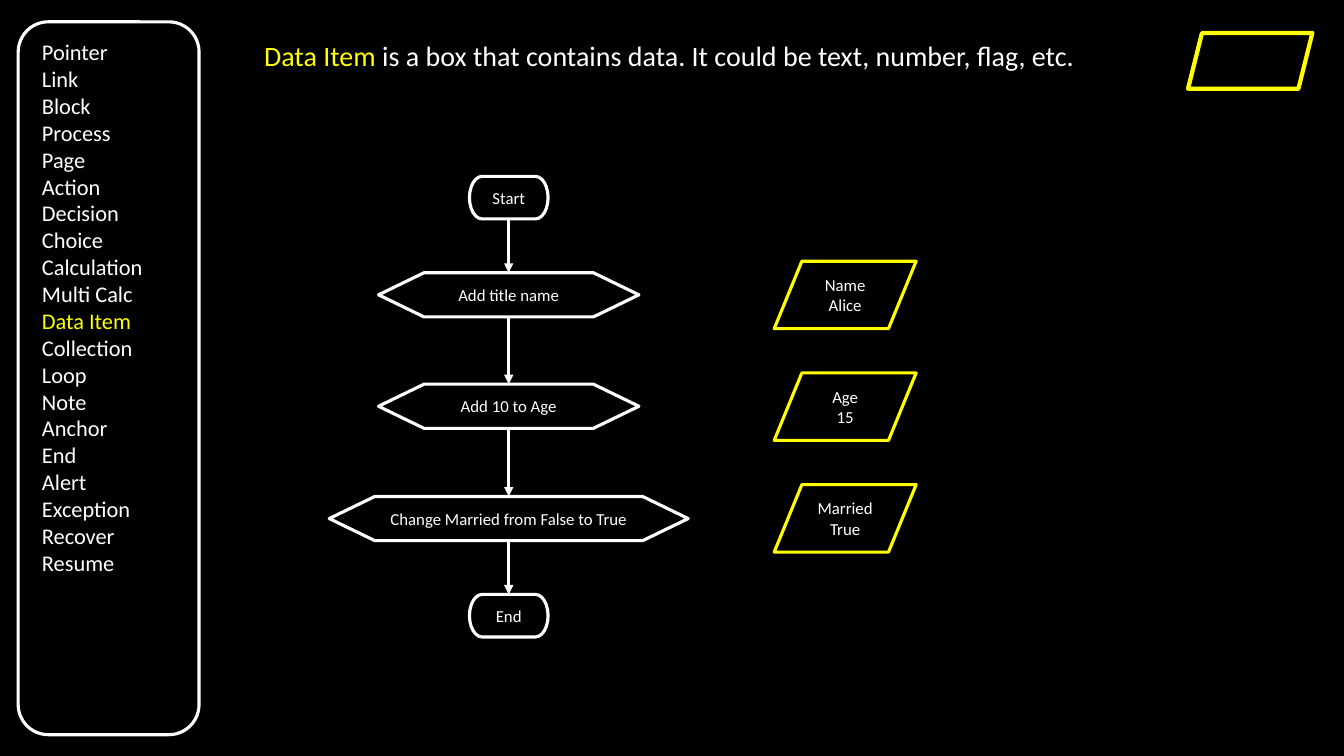
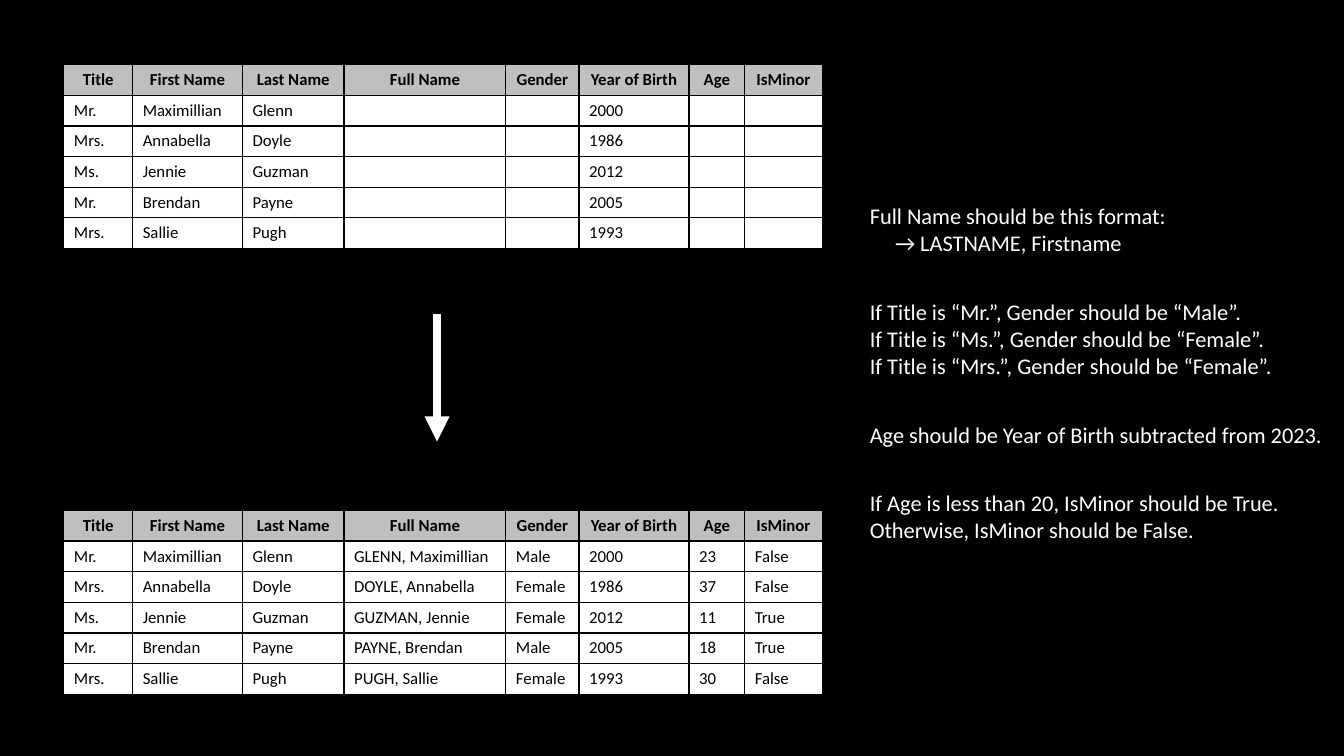
from lxml.etree import SubElement
from pptx import Presentation
from pptx.dml.color import RGBColor
from pptx.enum.shapes import MSO_CONNECTOR as Connector, MSO_SHAPE as Shape
from pptx.enum.text import MSO_ANCHOR as Anchor, MSO_AUTO_SIZE as AutoSize, PP_ALIGN as Align
from pptx.oxml.ns import qn
from pptx.util import Pt

# Shared look
FONT = "Calibri"
BLACK, WHITE, YELLOW, GREY = "000000", "FFFFFF", "FFFF00", "BFBFBF"
rgb = RGBColor.from_string


def write_text(frame, lines, size, align=Align.LEFT, bold=False, **frame_format):
    """Write lines, each a list of (text, colour) spans."""
    for name, value in frame_format.items():
        setattr(frame, name, value)
    for index, line in enumerate(lines):
        para = frame.add_paragraph() if index else frame.paragraphs[0]
        para.alignment = align
        para.space_before = Pt(0)
        for text, colour in line:
            span = para.add_run()
            span.text = text
            for name, value in {"name": FONT, "size": Pt(size), "bold": bold}.items():
                setattr(span.font, name, value)
            span.font.color.rgb = rgb(colour)


def add_outline(page, kind, place, colour, lines=(), weight=2.25, adjust=None):
    """Draw an unfilled shape with centred white text."""
    box = page.shapes.add_shape(kind, *map(Pt, place))
    box.shadow.inherit = False
    box.fill.background()
    box.line.color.rgb = rgb(colour)
    box.line.width = Pt(weight)
    if adjust is not None:
        box.adjustments[0] = adjust
    write_text(box.text_frame, [[(text, WHITE)] for text in lines], 12,
               Align.CENTER, vertical_anchor=Anchor.MIDDLE)


deck = Presentation()
deck.slide_width, deck.slide_height = Pt(960), Pt(540)
background = deck.slide_master.background.fill
background.solid()
background.fore_color.rgb = rgb(BLACK)
arrows = []  # page, x, top, bottom, weight

# Slide 1: data item
page = deck.slides.add_slide(deck.slide_layouts[1])
title, topics = page.placeholders
for box, place in ((title, (181.4, 23.8, 684, 31.5)), (topics, (22.8, 23.8, 87, 395))):
    box.left, box.top, box.width, box.height = map(Pt, place)

write_text(title.text_frame,
           [[("Data Item", YELLOW),
             (" is a box that contains data. It could be text, number, flag, etc.", WHITE)]],
           20, vertical_anchor=Anchor.TOP, auto_size=AutoSize.NONE)

# Topic list
TOPICS = ["Pointer", "Link", "Block", "Process", "Page", "Action", "Decision",
          "Choice", "Calculation", "Multi Calc", "Data Item", "Collection", "Loop",
          "Note", "Anchor", "End", "Alert", "Exception", "Recover", "Resume"]
write_text(topics.text_frame,
           [[(topic, YELLOW if topic == "Data Item" else WHITE)] for topic in TOPICS],
           16, word_wrap=False, auto_size=AutoSize.NONE)
for para in topics.text_frame.paragraphs:
    props = para._p.get_or_add_pPr()
    props.set("marL", "0")
    props.set("indent", "0")
    SubElement(props, qn("a:buNone"))
add_outline(page, Shape.ROUNDED_RECTANGLE, (13, 15.6, 129.2, 509.2), WHITE)

# Flow chart, centred on one axis
AXIS = 363.4
STEPS = [("Start", Shape.FLOWCHART_TERMINATOR, 126, 56.2, 30.4),
         ("Add title name", Shape.HEXAGON, 194.8, 186, 31.6),
         ("Add 10 to Age", Shape.HEXAGON, 274.4, 186, 31.6),
         ("Change Married from False to True", Shape.HEXAGON, 354.6, 256.4, 31.6),
         ("End", Shape.FLOWCHART_TERMINATOR, 424.6, 56.2, 30.4)]
previous_bottom = None
for text, kind, top, width, height in STEPS:
    add_outline(page, kind, (AXIS - width / 2, top, width, height), WHITE, [text],
                adjust=1.03 if kind == Shape.HEXAGON else None)
    if previous_bottom:
        arrows.append((page, AXIS, previous_bottom, top, 2.25))
    previous_bottom = top + height

# Data items
for index, item in enumerate([("Name", "Alice"), ("Age", "15"), ("Married", "True")]):
    add_outline(page, Shape.PARALLELOGRAM, (553, 186.6 + 79.8 * index, 101.4, 48.2),
                YELLOW, item, adjust=0.41)
add_outline(page, Shape.PARALLELOGRAM, (848.6, 23.6, 88.8, 39.8), YELLOW, weight=3)

# Slide 2: filling in a table by rules
page = deck.slides.add_slide(deck.slide_layouts[6])
HEADER = ["Title", "First Name", "Last Name", "Full Name", "Gender",
          "Year of Birth", "Age", "IsMinor"]
WIDTHS = [49.2, 78.4, 72.6, 115.6, 52.2, 78.6, 39.8, 55.4]
ROW_HEIGHT = 21.9
PEOPLE = [("Mr.", "Maximillian", "Glenn", 2000), ("Mrs.", "Annabella", "Doyle", 1986),
          ("Ms.", "Jennie", "Guzman", 2012), ("Mr.", "Brendan", "Payne", 2005),
          ("Mrs.", "Sallie", "Pugh", 1993)]
before, after = [HEADER], [HEADER]
for form, first, last, year in PEOPLE:
    age = 2023 - year
    gender = "Male" if form == "Mr." else "Female"
    before.append([form, first, last, "", "", str(year), "", ""])
    after.append([form, first, last, f"{last.upper()}, {first}", gender,
                  str(year), str(age), str(age < 20)])

for top, rows in ((46.2, before), (364.6, after)):
    table = page.shapes.add_table(len(rows), len(HEADER), Pt(45.6), Pt(top),
                                  Pt(sum(WIDTHS)), Pt(ROW_HEIGHT * len(rows))).table
    table.first_row = table.horz_banding = False
    for column, width in zip(table.columns, WIDTHS):
        column.width = Pt(width)
    for row_index, row in enumerate(rows):
        table.rows[row_index].height = Pt(ROW_HEIGHT)
        is_header = row_index == 0
        for column_index, text in enumerate(row):
            cell = table.cell(row_index, column_index)
            if text:
                write_text(cell.text_frame, [[(text, BLACK)]], 12,
                           Align.CENTER if is_header else Align.LEFT, is_header)
            else:  # keep empty rows from growing
                SubElement(cell.text_frame.paragraphs[0]._p, qn("a:endParaRPr"), sz="1200")
            for side in ("lnL", "lnR", "lnT", "lnB"):
                border = SubElement(cell._tc.get_or_add_tcPr(), qn(f"a:{side}"), w=str(Pt(1)))
                SubElement(SubElement(border, qn("a:solidFill")), qn("a:srgbClr"), val=BLACK)
            cell.fill.solid()
            cell.fill.fore_color.rgb = rgb(GREY if is_header else WHITE)
arrows.append((page, 312.2, 224.4, 315.4, 6))

# Rules
RULES = [(141.2, 228, ["Full Name should be this format:", "→ LASTNAME, Firstname"]),
         (209.6, 305, ["If Title is “Mr.”, Gender should be “Male”.",
                       "If Title is “Ms.”, Gender should be “Female”.",
                       "If Title is “Mrs.”, Gender should be “Female”."]),
         (297.6, 342, ["Age should be Year of Birth subtracted from 2023."]),
         (346.2, 310, ["If Age is less than 20, IsMinor should be True.",
                       "Otherwise, IsMinor should be False."])]
for top, width, lines in RULES:
    box = page.shapes.add_textbox(Pt(614.2), Pt(top), Pt(width), Pt(7.2 + 19.5 * len(lines)))
    write_text(box.text_frame, [[(line, WHITE)] for line in lines], 16, word_wrap=False)
    for para in box.text_frame.paragraphs:
        if para.text.startswith("→"):
            para._p.get_or_add_pPr().set("marL", str(Pt(18)))

# Arrows of both slides
for page, x, top, bottom, weight in arrows:
    arrow = page.shapes.add_connector(Connector.STRAIGHT, Pt(x), Pt(top), Pt(x), Pt(bottom))
    arrow.line.color.rgb = rgb(WHITE)
    arrow.line.width = Pt(weight)
    SubElement(arrow.line._get_or_add_ln(), qn("a:tailEnd"), type="triangle")
    SubElement(arrow._element.spPr, qn("a:effectLst"))

deck.save("out.pptx")
